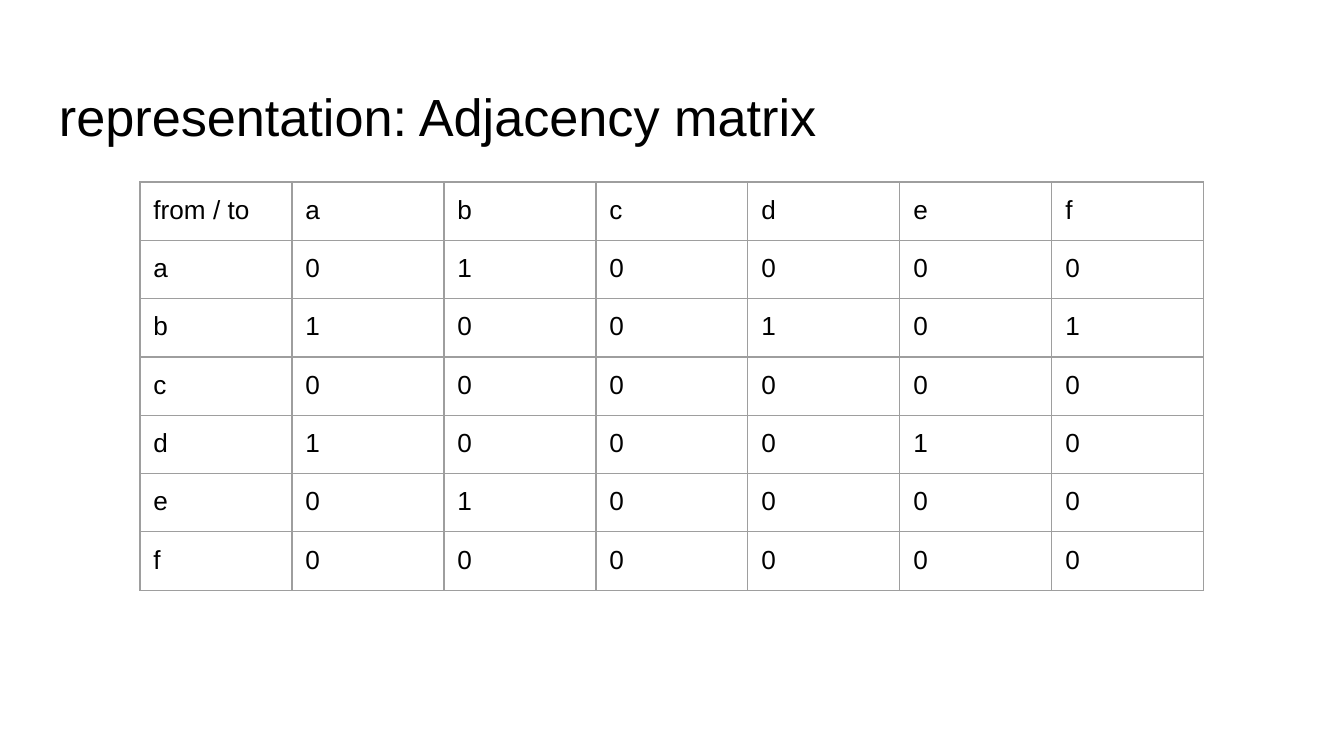
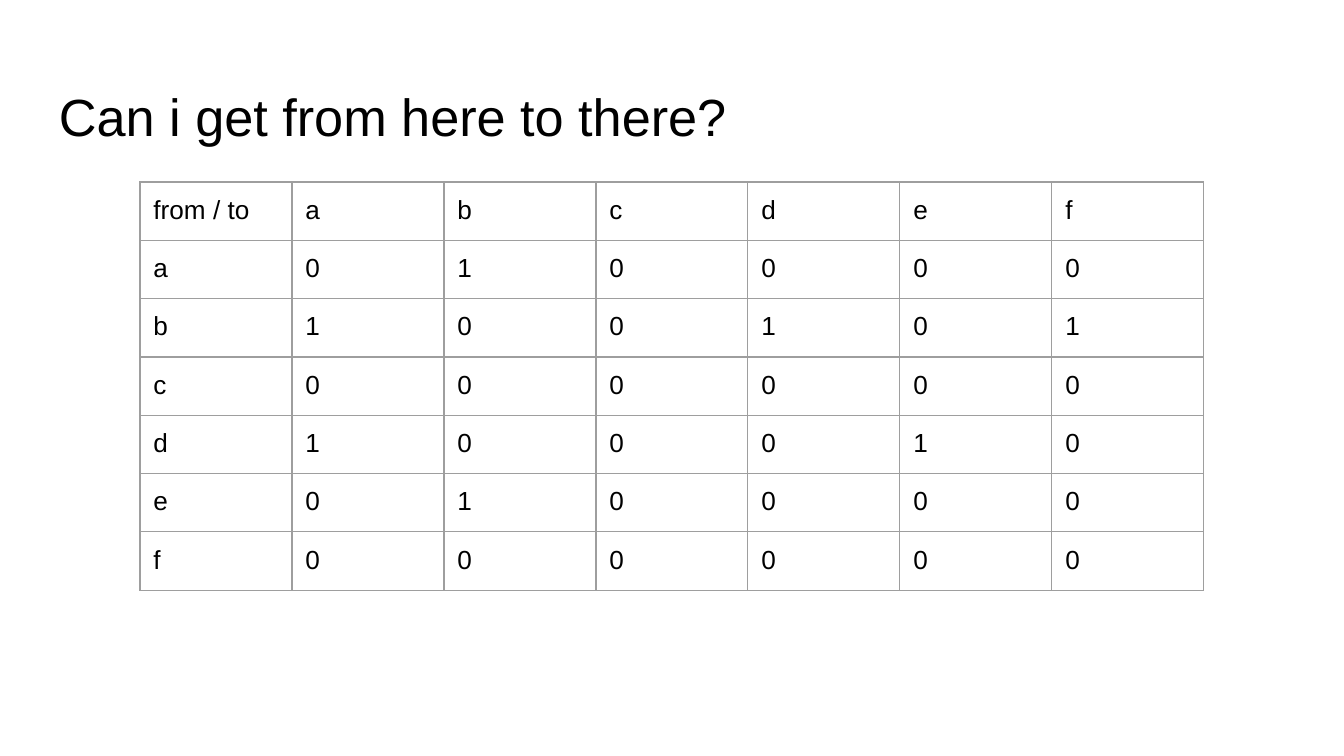
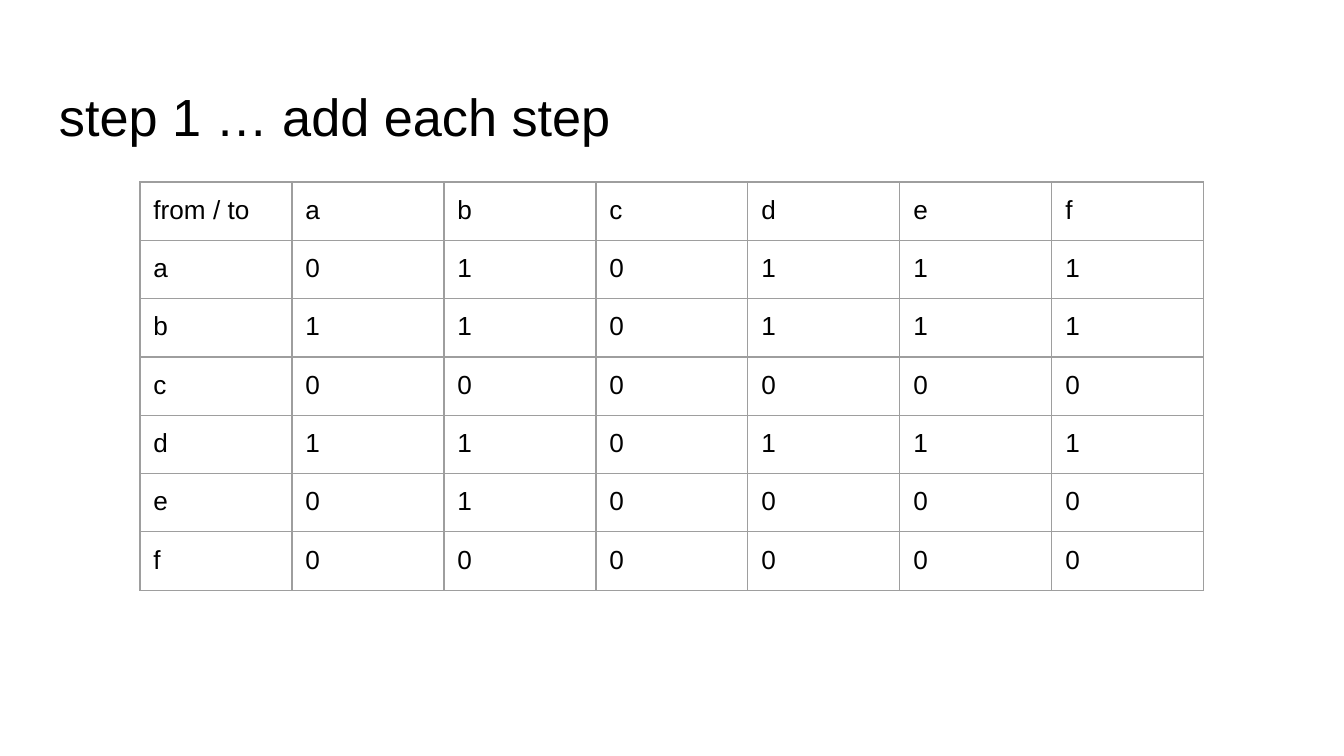
from dataclasses import dataclass

from lxml import etree
from pptx import Presentation
from pptx.dml.color import RGBColor
from pptx.enum import text
from pptx.oxml import ns
from pptx.util import Pt

# Shared style
HUES = {"ink": "000000", "grid": "9E9E9E", "page": "FFFFFF"}
FONT = "Arial"
INSET = Pt(7.2)
NODES = "abcdef"
COL, ROW = Pt(81.43), Pt(30)


@dataclass
class Page:
    title: str
    links: tuple[str, ...]  # one string of 0s and 1s per node


DIRECT = ("010000", "100101", "000000", "100010", "010000", "000000")
REACH = ("010111", "110111", "000000", "110111", "010000", "000000")

PAGES = [
    Page("representation: Adjacency matrix", DIRECT),
    Page("Can i get from here to there?", DIRECT),
    Page("step 1 … add each step", REACH),
]


def style(par, size: float) -> None:
    par.font.name = FONT
    par.font.size = Pt(size)
    par.font.color.rgb = RGBColor.from_string(HUES["ink"])


def border(cell) -> None:
    props = cell._tc.get_or_add_tcPr()
    for side in ("lnL", "lnR", "lnT", "lnB"):
        line = etree.SubElement(props, ns.qn(f"a:{side}"), w=str(Pt(0.75)))
        fill = etree.SubElement(line, ns.qn("a:solidFill"))
        etree.SubElement(fill, ns.qn("a:srgbClr"), val=HUES["grid"])


def add_title(slide, words: str) -> None:
    box = slide.shapes.add_textbox(Pt(24.5), Pt(35), Pt(671), Pt(45.2))
    frame = box.text_frame
    frame.word_wrap = True
    frame.vertical_anchor = text.MSO_ANCHOR.TOP
    frame.margin_left = frame.margin_right = INSET
    frame.margin_top, frame.margin_bottom = Pt(10), Pt(4)
    frame.text = words
    style(frame.paragraphs[0], 28)


def add_matrix(slide, links: tuple[str, ...]) -> None:
    rows = [["from / to", *NODES]]
    rows += [[node, *bits] for node, bits in zip(NODES, links)]
    count = len(rows)
    table = slide.shapes.add_table(
        count, count, Pt(75), Pt(97.5), COL * count, ROW * count
    ).table
    table.first_row = table.horz_banding = False
    for r, row in enumerate(rows):
        for c, word in enumerate(row):
            cell = table.cell(r, c)
            cell.margin_left = cell.margin_right = INSET
            cell.margin_top = cell.margin_bottom = INSET
            cell.text = word
            style(cell.text_frame.paragraphs[0], 14)
            border(cell)
            cell.fill.background()


def main() -> None:
    deck = Presentation()
    deck.slide_width, deck.slide_height = Pt(720), Pt(405)
    for page in PAGES:
        slide = deck.slides.add_slide(deck.slide_layouts[6])
        back = slide.background.fill
        back.solid()
        back.fore_color.rgb = RGBColor.from_string(HUES["page"])
        add_title(slide, page.title)
        add_matrix(slide, page.links)
    deck.save("out.pptx")


if __name__ == "__main__":
    main()
